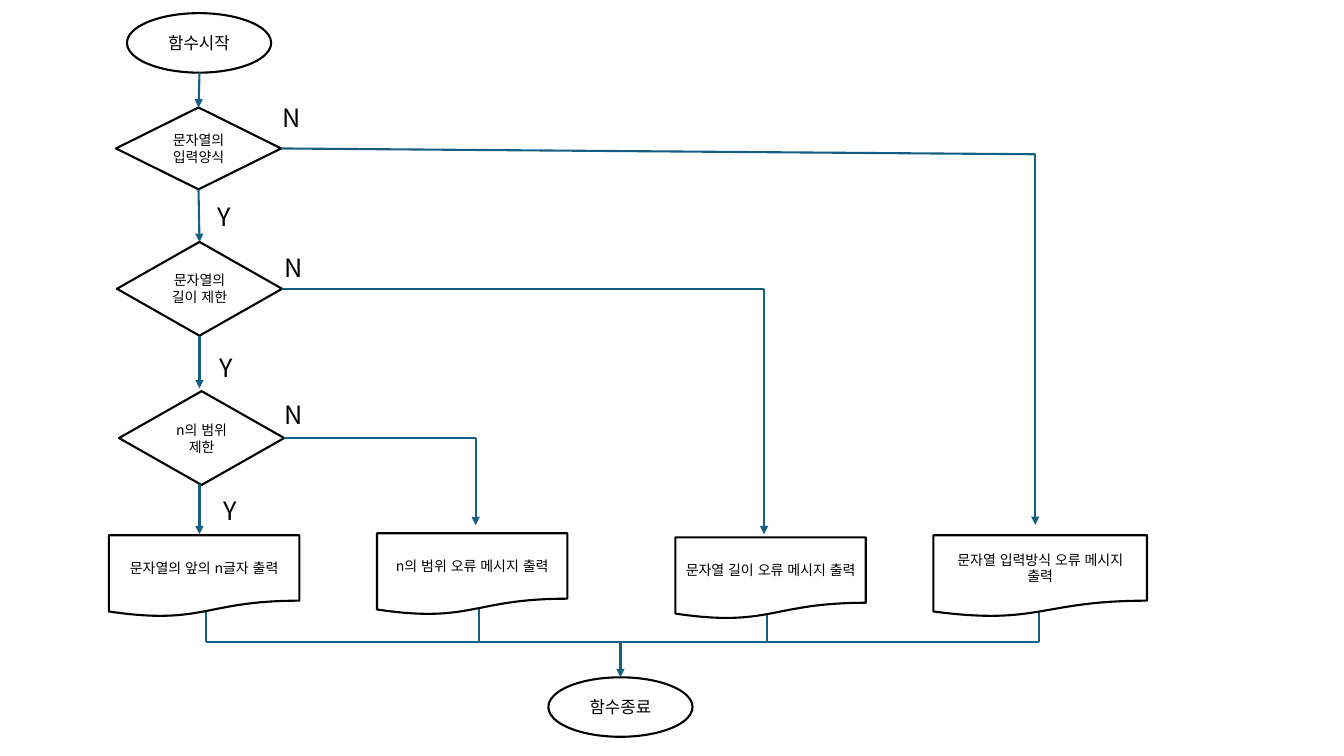
"""Build a flowchart slide that validates a string and its length before output."""
import dataclasses

import lxml.etree
import pptx
import pptx.dml.color
import pptx.enum.lang
import pptx.enum.shapes
import pptx.enum.text
import pptx.oxml.ns
import pptx.util

Pt = pptx.util.Pt
RGB = pptx.dml.color.RGBColor
SHAPES = pptx.enum.shapes.MSO_SHAPE


@dataclasses.dataclass(frozen=True)
class Theme:
    ink: RGB = RGB(0x00, 0x00, 0x00)
    paper: RGB = RGB(0xFF, 0xFF, 0xFF)
    flow: RGB = RGB(0x15, 0x60, 0x82)
    font: str = "Noto Sans CJK KR"
    terminal_size: int = 12
    step_size: int = 10
    branch_size: int = 18
    stroke: float = 1.5


theme = Theme()
deck = pptx.Presentation()
deck.slide_width, deck.slide_height = Pt(960), Pt(540)
page = deck.slides.add_slide(deck.slide_layouts[6])


def add_label(left, top, width, height, text, size, kind=None):
    """Add centred text in a preset shape, or plain text when no kind is given."""
    bounds = [Pt(length) for length in (left, top, width, height)]
    if kind is None:
        box = page.shapes.add_textbox(*bounds)
    else:
        box = page.shapes.add_shape(kind, *bounds)
        box.shadow.inherit = False
        box.fill.solid()
        box.fill.fore_color.rgb = theme.paper
        box.line.color.rgb = theme.ink
        box.line.width = Pt(theme.stroke)
        box.text_frame.vertical_anchor = pptx.enum.text.MSO_ANCHOR.MIDDLE
    box.text_frame.word_wrap = True
    para = box.text_frame.paragraphs[0]
    align = pptx.enum.text.PP_ALIGN
    para.alignment = align.CENTER if kind else align.LEFT
    span = para.add_run()
    span.text = text
    formats = {"size": Pt(size), "name": theme.font,
               "language_id": pptx.enum.lang.MSO_LANGUAGE_ID.KOREAN}
    for name, value in formats.items():
        setattr(span.font, name, value)
    span.font.color.rgb = theme.ink
    east_asian = lxml.etree.SubElement(span.font._element, pptx.oxml.ns.qn("a:ea"))
    east_asian.set("typeface", theme.font)
    return box


def add_flow(start, end, arrow=False, source=None, target=None):
    """Add a flow line; source and target are (shape, side) pairs."""
    line = page.shapes.add_connector(
        pptx.enum.shapes.MSO_CONNECTOR.STRAIGHT, *(Pt(length) for length in start + end))
    if source:
        line.begin_connect(*source)
    if target:
        line.end_connect(*target)
    line.line.color.rgb = theme.flow
    line.line.width = Pt(theme.stroke)
    if arrow:
        tail = lxml.etree.SubElement(line.line._get_or_add_ln(), pptx.oxml.ns.qn("a:tailEnd"))
        tail.set("type", "triangle")
    lxml.etree.SubElement(line._element.spPr, pptx.oxml.ns.qn("a:effectLst"))


terminal_width, terminal_height = 103, 42.5
add_label(90.7, 9.4, terminal_width, terminal_height, "함수시작",
          theme.terminal_size, SHAPES.OVAL)
finish = add_label(391.7, 483.8, terminal_width, terminal_height, "함수종료",
                   theme.terminal_size, SHAPES.OVAL)

decision_width = 118
format_check, length_check, range_check = [
    add_label(left, top, decision_width, height, text, theme.step_size, SHAPES.DIAMOND)
    for left, top, height, text in (
        (82.8, 76.8, 58.5, "문자열의 입력양식"),
        (83.5, 172.8, 67, "문자열의 길이 제한"),
        (85, 279.4, 67, "n의 범위 제한"),
    )
]

spine = 142.5
add_flow((spine, 51.9), (141.8, 76), True, target=(format_check, 0))
add_flow((141.8, 135.3), (spine, 172.8), True, (format_check, 2), (length_check, 0))
add_flow((spine, 239.8), (spine, 277.4), True, (length_check, 2))
add_flow((spine, 346), (spine, 381.6), True)

for check, right, turn, corner, bottom in (
    (range_check, 203, 339.8, 312.9, 375.2),
    (length_check, 201.5, 545.8, 206.3, 381.6),
    (format_check, 200.8, 739.5, 110.2, 375),
):
    add_flow((right, corner), (turn, corner), source=(check, 3))
    add_flow((turn, corner), (turn, bottom), True)

merge = 458.7
exits = (146.9, 342, 547.9, 742.3)
for exit_left in exits:
    add_flow((exit_left, 433), (exit_left, merge))
add_flow((exits[0], merge), (exits[-1], merge))
add_flow((443.2, merge), (443.2, 483.8), True, target=(finish, 0))

for left, top, text in (
    (194.4, 69.8, "N"), (195.8, 176.4, "N"), (195.8, 281.5, "N"),
    (148.3, 140.4, "Y"), (149.8, 248.4, "Y"), (152.6, 349.9, "Y"),
):
    add_label(left, top, 42.5, 29, text, theme.branch_size)

for left, top, width, text in (
    (666.7, 382.3, 152.6, "문자열 입력방식 오류 메시지 출력"),
    (482.4, 383.8, 136, "문자열 길이 오류 메시지 출력"),
    (269.3, 380.9, 136, "n의 범위 오류 메시지 출력"),
    (77.8, 382.3, 136, "문자열의 앞의 n글자 출력"),
):
    add_label(left, top, width, 58.3, text, theme.step_size, SHAPES.FLOWCHART_DOCUMENT)

deck.save("out.pptx")
